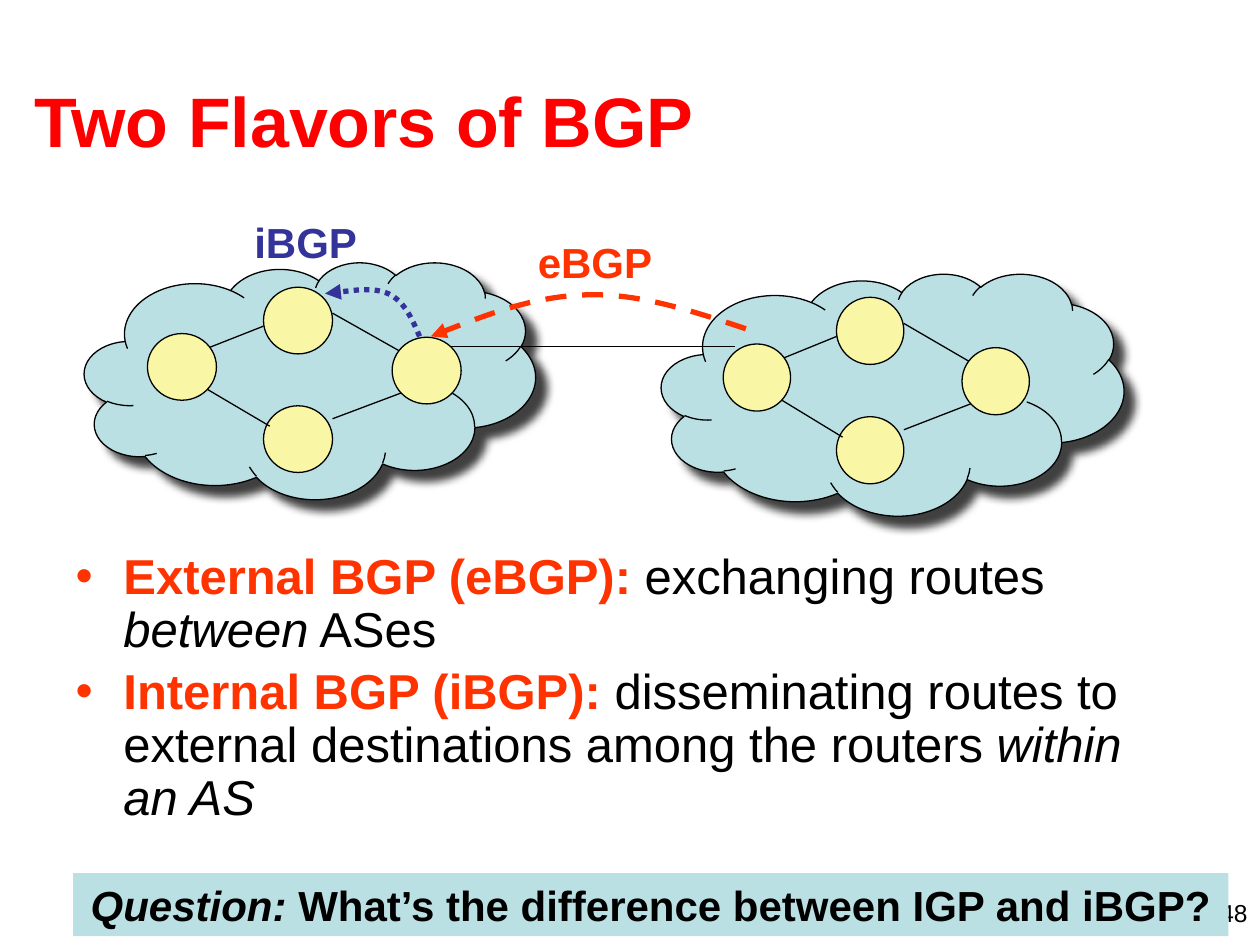
from lxml.etree import SubElement
from pptx import Presentation
from pptx.dml.color import RGBColor
from pptx.enum.dml import MSO_LINE
from pptx.enum.shapes import MSO_CONNECTOR, MSO_SHAPE
from pptx.enum.text import MSO_ANCHOR, MSO_AUTO_SIZE, PP_ALIGN
from pptx.oxml import parse_xml
from pptx.oxml.ns import nsdecls, qn
from pptx.util import Inches, Pt

BLACK = RGBColor(0x00, 0x00, 0x00)
RED = RGBColor(0xFF, 0x00, 0x00)
ORANGE = RGBColor(0xFF, 0x33, 0x00)
INDIGO = RGBColor(0x33, 0x33, 0x99)
PALE_TEAL = RGBColor(0xBB, 0xE0, 0xE3)
PALE_YELLOW = RGBColor(0xF9, 0xF7, 0xA5)
FONT = "Arial"

# Left, top, width and height in inches
CLOUDS = [(0.67, 2.08, 3.58, 1.88), (5.25, 2.17, 3.67, 1.92)]
NETWORKS = [(1.17, 2.28, 2.49, 1.47), (5.74, 2.36, 2.43, 1.48)]

# Shares of a network's width and height
ROUTER_SIZE = (0.22, 0.36)
INNER_ROUTERS = [(0.37, 0), (0.37, 0.64)]
EDGE_ROUTERS = [(0.78, 0.27), (0, 0.25)]
LINKS = [
    ((0.16, 0.35), (0.37, 0.21)),
    ((0.59, 0.71), (0.81, 0.57)),
    ((0.17, 0.53), (0.39, 0.75)),
    ((0.59, 0.14), (0.81, 0.35)),
]


def inches(values):
    return [Inches(value) for value in values]


def place(shape, box):
    shape.left, shape.top, shape.width, shape.height = inches(box)


def write(paragraph, text, size, color=BLACK, bold=False, italic=False):
    run = paragraph.add_run()
    run.text = text
    font = run.font
    font.name, font.size, font.bold, font.italic = FONT, Pt(size), bold, italic
    font.color.rgb = color


def add_label(slide, box, text, size, align=PP_ALIGN.LEFT, **style):
    frame = slide.shapes.add_textbox(*inches(box)).text_frame
    frame.word_wrap = True
    paragraph = frame.paragraphs[0]
    paragraph.alignment = align
    write(paragraph, text, size, **style)


def add_filled(slide, kind, box, fill, outlined=True):
    shape = slide.shapes.add_shape(kind, *inches(box))
    shape.shadow.inherit = False
    shape.fill.solid()
    shape.fill.fore_color.rgb = fill
    if outlined:
        shape.line.color.rgb = BLACK
        shape.line.width = Pt(0.75)
    else:
        shape.line.fill.background()
    return shape


def add_cloud(slide, box):
    cloud = add_filled(slide, MSO_SHAPE.CLOUD, box, PALE_TEAL)
    effects = cloud.element.spPr.find(qn("a:effectLst"))
    effects.append(parse_xml(
        f'<a:outerShdw {nsdecls("a")} blurRad="{Pt(5)}" dist="{Pt(8.5)}" '
        'dir="2700000" algn="ctr" rotWithShape="0"><a:srgbClr val="000000">'
        '<a:alpha val="75000"/></a:srgbClr></a:outerShdw>'))


def add_link(slide, start, end):
    link = slide.shapes.add_connector(
        MSO_CONNECTOR.STRAIGHT, *inches(start), *inches(end))
    link.line.color.rgb = BLACK
    link.line.width = Pt(0.75)
    SubElement(link.element.spPr, qn("a:effectLst"))


def add_network(slide, box):
    left, top, width, height = box

    def point(share):
        return left + share[0] * width, top + share[1] * height

    def add_routers(shares):
        size = ROUTER_SIZE[0] * width, ROUTER_SIZE[1] * height
        for share in shares:
            add_filled(slide, MSO_SHAPE.OVAL, point(share) + size, PALE_YELLOW)

    add_routers(INNER_ROUTERS)
    for start, end in LINKS:
        add_link(slide, point(start), point(end))
    add_routers(EDGE_ROUTERS)


def add_curved_arrow(slide, points, color, dash):
    """Draw Bezier curves: a start point, then two controls and an end for each."""
    start, *others = [inches(point) for point in points]
    builder = slide.shapes.build_freeform(*start)
    builder.add_line_segments(others, close=False)
    arrow = builder.convert_to_shape()
    arrow.shadow.inherit = False
    arrow.fill.background()
    arrow.line.color.rgb = color
    arrow.line.width = Pt(3)
    arrow.line.dash_style = dash
    SubElement(arrow.element.spPr.find(qn("a:ln")), qn("a:tailEnd"), type="triangle")

    segments = list(arrow.element.iter(qn("a:lnTo")))
    outline = segments[0].getparent()
    for first in range(0, len(segments), 3):
        curve = SubElement(outline, qn("a:cubicBezTo"))
        for segment in segments[first:first + 3]:
            curve.append(segment[0])
            outline.remove(segment)


def fill_title(title, text):
    place(title, (0.17, 0.32, 9.58, 1.25))
    title.text_frame.vertical_anchor = MSO_ANCHOR.MIDDLE
    paragraph = title.text_frame.paragraphs[0]
    paragraph.alignment = PP_ALIGN.LEFT
    write(paragraph, text, 40, color=RED, bold=True)


def fill_body(body, items):
    place(body, (0.5, 4.33, 9, 2.37))
    frame = body.text_frame
    frame.auto_size = MSO_AUTO_SIZE.NONE
    for index, (term, *explanation) in enumerate(items):
        paragraph = frame.add_paragraph() if index else frame.paragraphs[0]
        properties = paragraph._p.get_or_add_pPr()
        properties.set("marL", str(Inches(0.38)))
        properties.set("indent", str(Inches(-0.38)))
        SubElement(properties, qn("a:buChar"), char="•")
        paragraph.line_spacing = 0.9
        paragraph.space_before = Pt(5.6 if index else 0)
        write(paragraph, term, 28, color=ORANGE, bold=True)
        for text, italic in explanation:
            write(paragraph, text, 28, italic=italic)


def add_question(slide):
    banner = add_filled(slide, MSO_SHAPE.RECTANGLE, (0.58, 6.93, 9.17, 0.5),
                        PALE_TEAL, outlined=False)
    paragraph = banner.text_frame.paragraphs[0]
    paragraph.alignment = PP_ALIGN.CENTER
    write(paragraph, "Question:", 24, bold=True, italic=True)
    write(paragraph, " What’s the difference between IGP and iBGP?", 24, bold=True)


def main():
    presentation = Presentation()
    presentation.slide_width, presentation.slide_height = inches((10, 7.5))
    slide = presentation.slides.add_slide(presentation.slide_layouts[1])

    add_label(slide, (7.67, 7.08, 2.33, 0.25), "48", 14, align=PP_ALIGN.RIGHT)
    fill_title(slide.shapes.title, "Two Flavors of BGP")
    fill_body(slide.placeholders[1], [
        ("External BGP (eBGP):", (" exchanging routes ", False),
         ("between", True), (" ASes", False)),
        ("Internal BGP (iBGP):",
         (" disseminating routes to external destinations among the routers ", False),
         ("within an AS", True)),
    ])

    for cloud, network in zip(CLOUDS, NETWORKS):
        add_cloud(slide, cloud)
        add_network(slide, network)
    add_link(slide, (3.58, 2.75), (5.83, 2.75))

    add_curved_arrow(slide, [
        (5.92, 2.61), (5.5, 2.47), (5.08, 2.33), (4.67, 2.34),
        (4.25, 2.35), (3.83, 2.51), (3.42, 2.67)], ORANGE, MSO_LINE.DASH)
    add_label(slide, (4.17, 1.83, 1.58, 0.5), "eBGP", 24, color=ORANGE, bold=True)
    add_curved_arrow(slide, [
        (3.33, 2.67), (3.27, 2.53), (3.21, 2.39), (3.08, 2.33),
        (2.96, 2.28), (2.77, 2.31), (2.58, 2.33)], INDIGO, MSO_LINE.ROUND_DOT)
    add_label(slide, (1.92, 1.67, 1.58, 0.5), "iBGP", 24, color=INDIGO, bold=True)
    add_question(slide)

    presentation.save("out.pptx")


if __name__ == "__main__":
    main()
